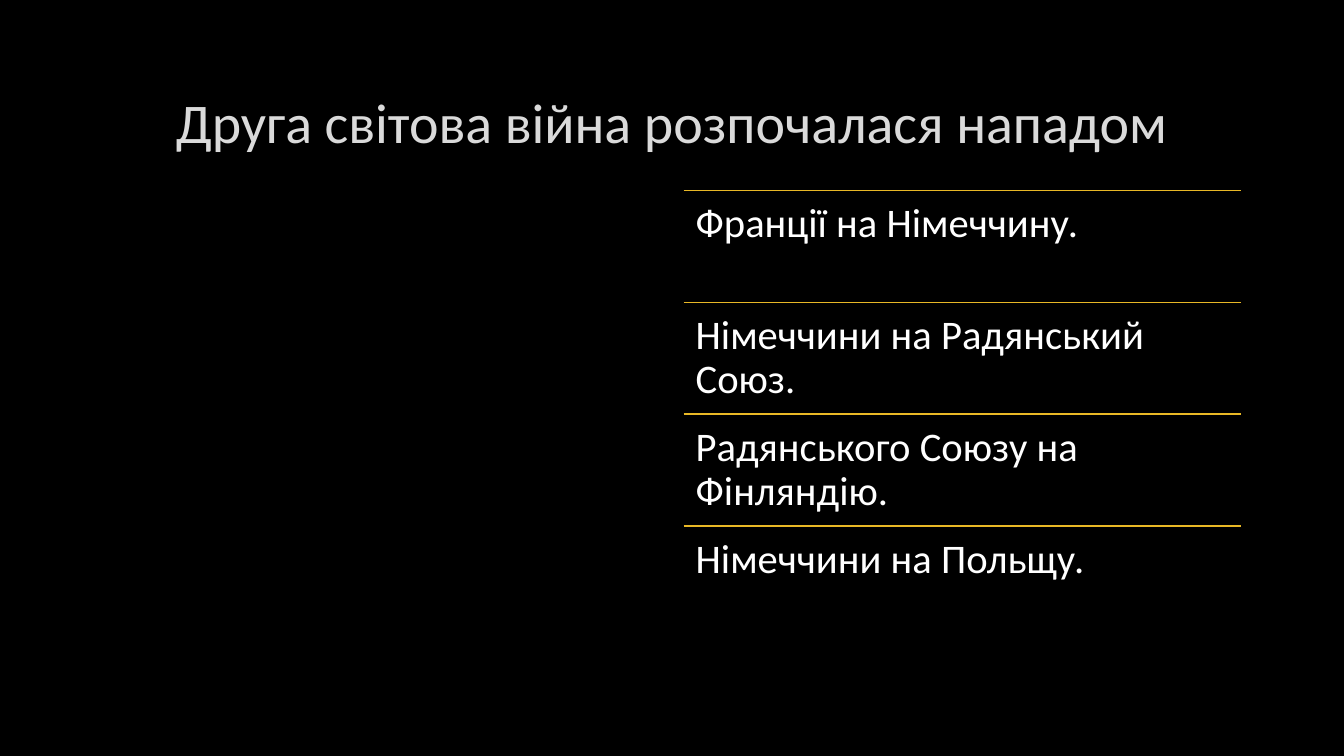
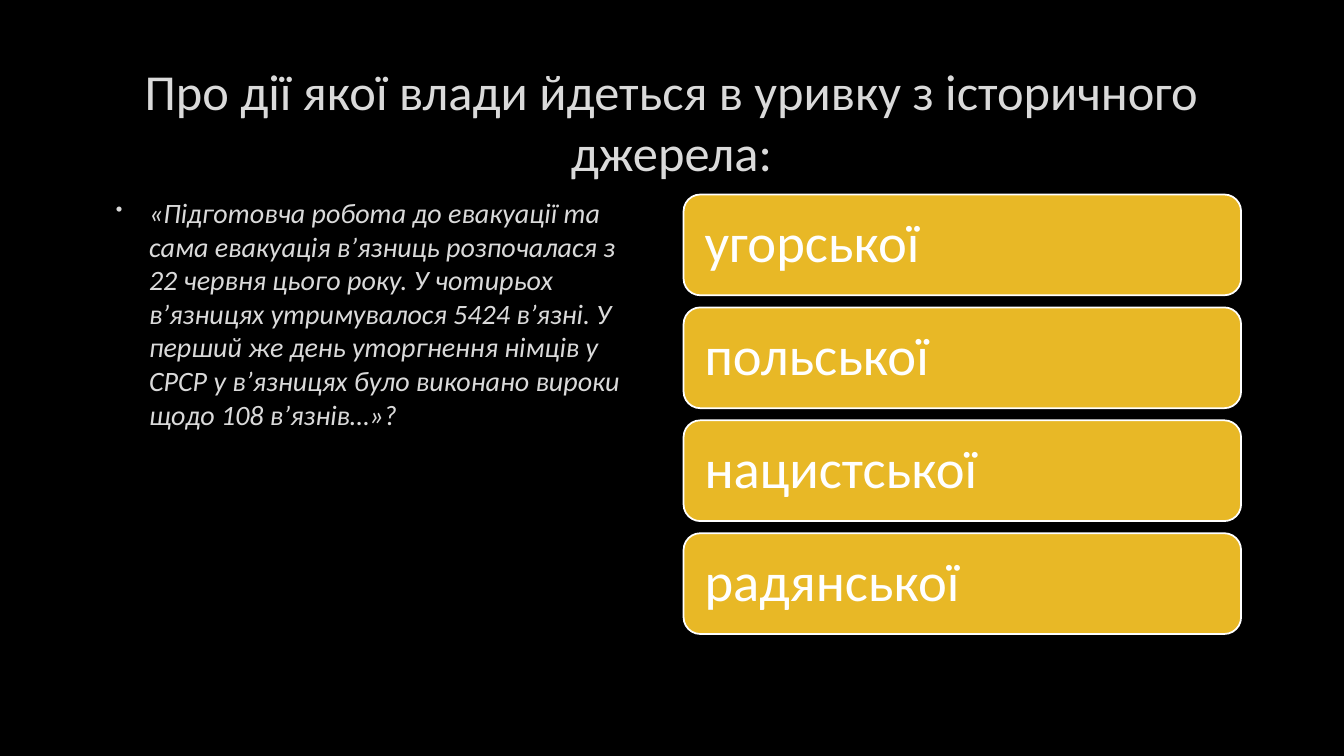
from dataclasses import dataclass

from lxml import etree
from pptx import Presentation
from pptx.dml.color import RGBColor
from pptx.enum.shapes import MSO_CONNECTOR, MSO_SHAPE
from pptx.enum.text import MSO_ANCHOR, PP_ALIGN
from pptx.oxml.ns import qn
from pptx.util import Inches, Pt


@dataclass(frozen=True)
class Theme:
    font: str = "Calibri"
    background: RGBColor = RGBColor.from_string("000000")
    muted: RGBColor = RGBColor.from_string("DADADA")
    accent: RGBColor = RGBColor.from_string("E8B826")
    white: RGBColor = RGBColor.from_string("FFFFFF")
    title: int = 40
    long_title: int = 36
    quote: int = 20
    list_answer: int = 29
    card_answer: int = 39
    line: float = 1.25


T = Theme()

# Shared layout, in inches
LEFT, TOP, HEIGHT = 1, 1.89, 4.44
TITLE_TOP, TITLE_W, TITLE_H = 0.67, 11.32, 1.06
COL_W, ANSWER_X = 5.53, 6.78


def write(shape, text, size, color, anchor=MSO_ANCHOR.TOP, inset=None):
    """Put one run into the shape and return its paragraph."""
    tf = shape.text_frame
    tf.word_wrap = True
    tf.vertical_anchor = anchor
    if inset is not None:
        tf.margin_left = tf.margin_right = Inches(inset)
        tf.margin_top = tf.margin_bottom = Inches(inset)
    p = tf.paragraphs[0]
    p.alignment = PP_ALIGN.LEFT
    r = p.add_run()
    r.text = text
    r.font.name = T.font
    r.font.size = Pt(size)
    r.font.color.rgb = color
    return p


def add_titled_slide(prs, title, size):
    s = prs.slides.add_slide(prs.slide_layouts[6])
    s.background.fill.solid()
    s.background.fill.fore_color.rgb = T.background
    box = s.shapes.add_textbox(Inches(LEFT), Inches(TITLE_TOP),
                               Inches(TITLE_W), Inches(TITLE_H))
    p = write(box, title, size, T.muted, MSO_ANCHOR.MIDDLE)
    p.alignment = PP_ALIGN.CENTER
    return s


prs = Presentation()
prs.slide_width = Inches(13.33)
prs.slide_height = Inches(7.5)

# Slide 1: answers separated by rules
s = add_titled_slide(prs, "Друга світова війна розпочалася нападом", T.title)
answers = [
    "Франції на Німеччину.",
    "Німеччини на Радянський Союз.",
    "Радянського Союзу на Фінляндію.",
    "Німеччини на Польщу.",
]
row_h = HEIGHT / len(answers)
for i, answer in enumerate(answers):
    y = Inches(TOP + i * row_h)
    rule = s.shapes.add_connector(MSO_CONNECTOR.STRAIGHT, Inches(ANSWER_X), y,
                                  Inches(ANSWER_X + COL_W), y)
    rule.line.color.rgb = T.accent
    rule.line.width = Pt(T.line)
    etree.SubElement(rule.element.spPr, qn("a:effectLst"))
    box = s.shapes.add_textbox(Inches(ANSWER_X), y, Inches(COL_W), Inches(row_h))
    p = write(box, answer, T.list_answer, T.white, inset=0.12)
    p.line_spacing = 0.9

# Slide 2: quotation beside answer cards
s = add_titled_slide(
    prs, "Про дії якої влади йдеться в уривку з історичного джерела:", T.long_title)
box = s.shapes.add_textbox(Inches(LEFT), Inches(TOP), Inches(COL_W), Inches(HEIGHT))
p = write(
    box,
    "«Підготовча робота до евакуації та сама евакуація в’язниць розпочалася з "
    "22 червня цього року. У чотирьох в’язницях утримувалося 5424 в’язні. У "
    "перший же день уторгнення німців у СРСР у в’язницях було виконано вироки "
    "щодо 108 в’язнів…»?",
    T.quote, T.muted)
p.runs[0].font.italic = True
pPr = p._p.get_or_add_pPr()
pPr.set("marL", str(Inches(0.38)))
pPr.set("indent", str(Inches(-0.33)))
bullet_color = etree.SubElement(pPr, qn("a:buClr"))
etree.SubElement(bullet_color, qn("a:srgbClr"), val=str(T.muted))
etree.SubElement(pPr, qn("a:buSzPct"), val="70000")
etree.SubElement(pPr, qn("a:buChar"), char="•")

cards = ["угорської", "польської", "нацистської", "радянської"]
card_h, gap = 1, 0.12
first_y = TOP + (HEIGHT - len(cards) * card_h - (len(cards) - 1) * gap) / 2
for i, answer in enumerate(cards):
    card = s.shapes.add_shape(MSO_SHAPE.ROUNDED_RECTANGLE, Inches(ANSWER_X),
                              Inches(first_y + i * (card_h + gap)),
                              Inches(COL_W), Inches(card_h))
    card.shadow.inherit = False
    card.fill.solid()
    card.fill.fore_color.rgb = T.accent
    card.line.color.rgb = T.white
    card.line.width = Pt(T.line)
    p = write(card, answer, T.card_answer, T.white, MSO_ANCHOR.MIDDLE, inset=0.16)
    p.line_spacing = 0.9

prs.save("out.pptx")
